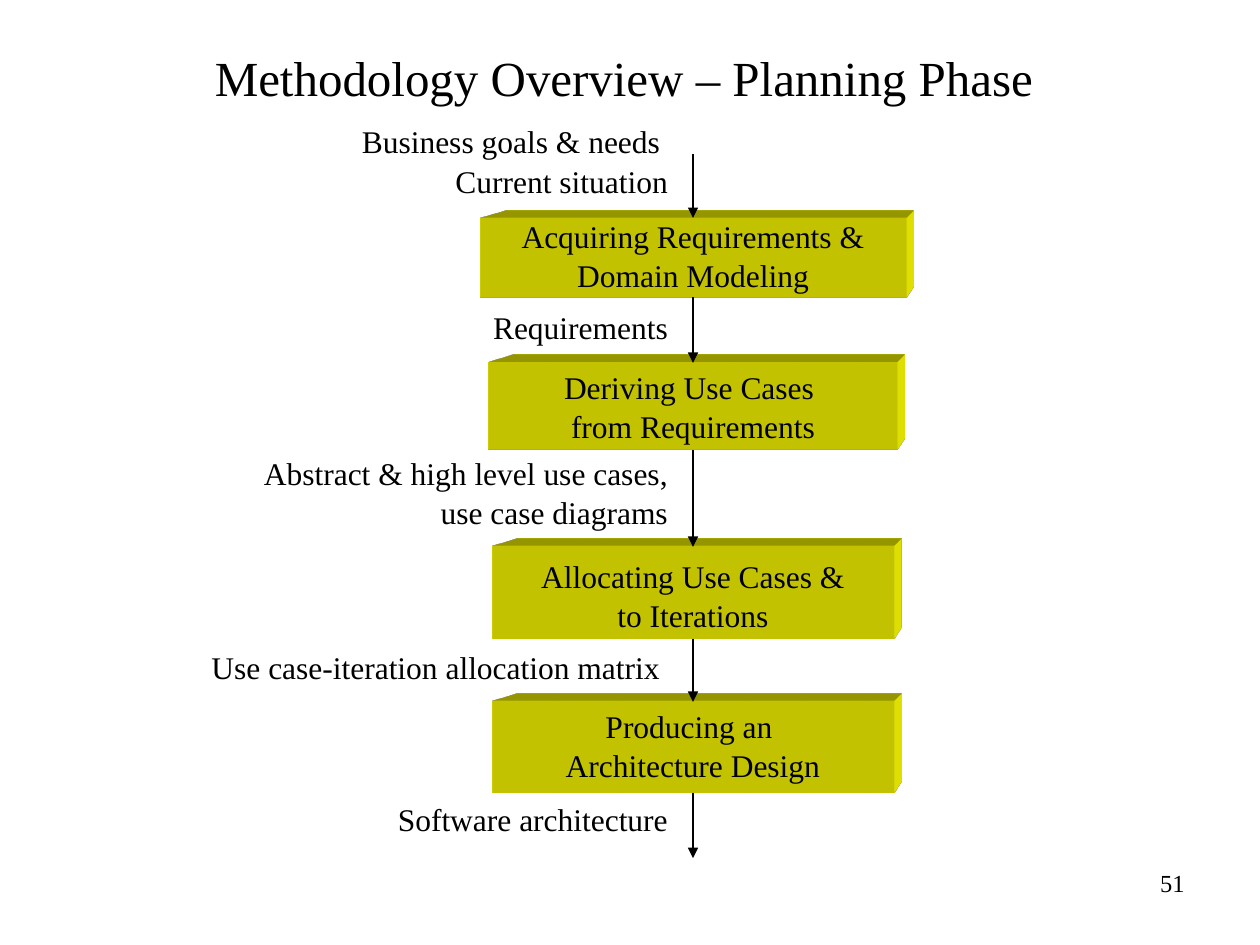
from dataclasses import dataclass
from typing import Any

import lxml.etree
import pptx
import pptx.dml.color
import pptx.enum.shapes
import pptx.enum.text
import pptx.oxml
import pptx.oxml.ns
import pptx.util

COLUMNS, ROWS = 100, 75
WIDTH, HEIGHT = pptx.util.Inches(10), pptx.util.Inches(7.5)
FLOW_COLUMN = 55
LABEL_RIGHT = 54
FONT = "Times New Roman"
BLACK, YELLOW = "000000", "FFFF00"
ALIGN = pptx.enum.text.PP_ALIGN
ANCHOR = pptx.enum.text.MSO_ANCHOR
DRAWING = pptx.oxml.ns.nsdecls("a")

EXTRUSION = (
    f'<a:scene3d {DRAWING}><a:camera prst="legacyPerspectiveTopRight"/>'
    '<a:lightRig rig="legacyFlat3" dir="b"/></a:scene3d>',
    f'<a:sp3d {DRAWING} extrusionH="430200" prstMaterial="legacyMatte">'
    '<a:bevelT w="13500" h="13500" prst="angle"/>'
    '<a:bevelB w="13500" h="13500" prst="angle"/>'
    f'<a:extrusionClr><a:srgbClr val="{YELLOW}"/></a:extrusionClr></a:sp3d>',
)


@dataclass(frozen=True)
class Area:
    left: float
    top: float
    width: float
    height: float

    def lengths(self) -> tuple[int, int, int, int]:
        return (across(self.left), down(self.top), across(self.width), down(self.height))


@dataclass(frozen=True)
class Step:
    lines: tuple[str, ...]
    top: float
    width: float
    height: float
    text_top: float
    text_width: float
    text_height: float


@dataclass(frozen=True)
class Label:
    lines: tuple[str, ...]
    top: float
    width: float
    height: float


STEPS = (
    Step(("Acquiring Requirements & Domain Modeling",), 17.3, 33.7, 6.3, 16.6, 31.9, 7.3),
    Step(("Deriving Use Cases ", "from Requirements"), 28.8, 32.4, 6.9, 28.6, 28.9, 7.8),
    Step(("Allocating Use Cases &", "to Iterations"), 43.4, 31.9, 7.3, 43.6, 30.8, 6.6),
    Step(("Producing an ", "Architecture Design"), 55.7, 31.9, 7.2, 55.5, 30.8, 7.2),
)
LABELS = (
    Label(("Business goals & needs ", "Current situation"), 9.1, 32.9, 7.3),
    Label(("Requirements",), 23.8, 22.4, 4.5),
    Label(("Abstract & high level use cases, use case diagrams",), 35.4, 36.7, 7.3),
    Label(("Use case-iteration allocation matrix ",), 50.8, 40.9, 4.6),
    Label(("Software architecture",), 62.9, 25.6, 5.1),
)
FLOW_TOP, FLOW_BOTTOM = 12.2, 68.1


def across(columns: float) -> int:
    return round(WIDTH * columns / COLUMNS)


def down(rows: float) -> int:
    return round(HEIGHT * rows / ROWS)


def colour(value: str) -> pptx.dml.color.RGBColor:
    return pptx.dml.color.RGBColor.from_string(value)


def centred(top: float, width: float, height: float) -> Area:
    return Area(FLOW_COLUMN - width / 2, top, width, height)


def write(frame: Any, lines: tuple[str, ...], size: float, align: Any, spacing: float = 1.0) -> None:
    frame.word_wrap = True
    for index, line in enumerate(lines):
        paragraph = frame.add_paragraph() if index else frame.paragraphs[0]
        paragraph.text = line
        paragraph.alignment = align
        paragraph.line_spacing = spacing
        paragraph.font.name = FONT
        paragraph.font.size = pptx.util.Pt(size)
        paragraph.font.color.rgb = colour(BLACK)


def add_text(page: Any, area: Area, lines: tuple[str, ...], align: Any, size: float = 18) -> None:
    box = page.shapes.add_textbox(*area.lengths())
    write(box.text_frame, lines, size, align, 1.04)


def add_step(page: Any, step: Step) -> Any:
    area = centred(step.top, step.width, step.height)
    block = page.shapes.add_shape(pptx.enum.shapes.MSO_SHAPE.RECTANGLE, *area.lengths())
    block.shadow.inherit = False
    block.fill.solid()
    block.fill.fore_color.rgb = colour(YELLOW)
    block.line.fill.background()
    for part in EXTRUSION:
        block._element.spPr.append(pptx.oxml.parse_xml(part))
    text_area = centred(step.text_top, step.text_width, step.text_height)
    add_text(page, text_area, step.lines, ALIGN.CENTER)
    return block


def add_arrow(page: Any, source: Any, target: Any) -> None:
    column = across(FLOW_COLUMN)
    arrow = page.shapes.add_connector(
        pptx.enum.shapes.MSO_CONNECTOR.STRAIGHT, column, down(FLOW_TOP), column, down(FLOW_BOTTOM)
    )
    if source is not None:
        arrow.begin_connect(source, 2)
    if target is not None:
        arrow.end_connect(target, 0)
    arrow.line.color.rgb = colour(BLACK)
    arrow.line.width = pptx.util.Pt(1.5)
    line = arrow.line._get_or_add_ln()
    lxml.etree.SubElement(line, pptx.oxml.ns.qn("a:tailEnd"), type="triangle")
    lxml.etree.SubElement(arrow._element.spPr, pptx.oxml.ns.qn("a:effectLst"))


def add_title(page: Any, text: str) -> None:
    title = page.shapes.title
    title.left, title.top, title.width, title.height = Area(5, 3, 90, 6.2).lengths()
    title.text_frame.vertical_anchor = ANCHOR.MIDDLE
    write(title.text_frame, (text,), 28, ALIGN.CENTER)


def main() -> None:
    deck = pptx.Presentation()
    deck.slide_width, deck.slide_height = WIDTH, HEIGHT
    page = deck.slides.add_slide(deck.slide_layouts.get_by_name("Title Only"))
    add_title(page, "Methodology Overview – Planning Phase ")
    add_text(page, Area(71.7, 68.3, 23.3, 5.2), ("51",), ALIGN.RIGHT, 14)
    blocks = [add_step(page, step) for step in STEPS]
    for label in LABELS:
        area = Area(LABEL_RIGHT - label.width, label.top, label.width, label.height)
        add_text(page, area, label.lines, ALIGN.RIGHT)
    for source, target in zip([None, *blocks], [*blocks, None]):
        add_arrow(page, source, target)
    deck.save("out.pptx")


if __name__ == "__main__":
    main()
